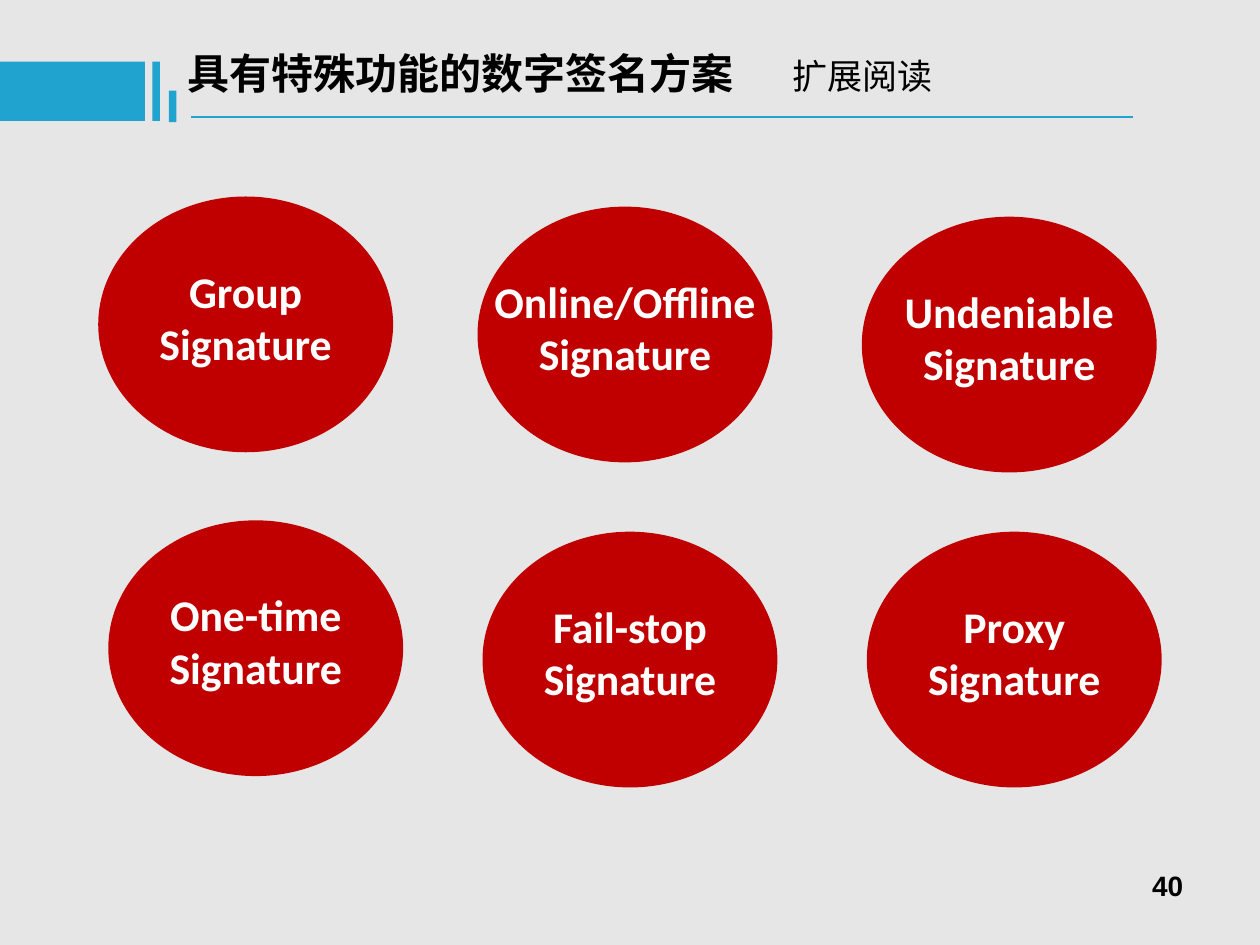
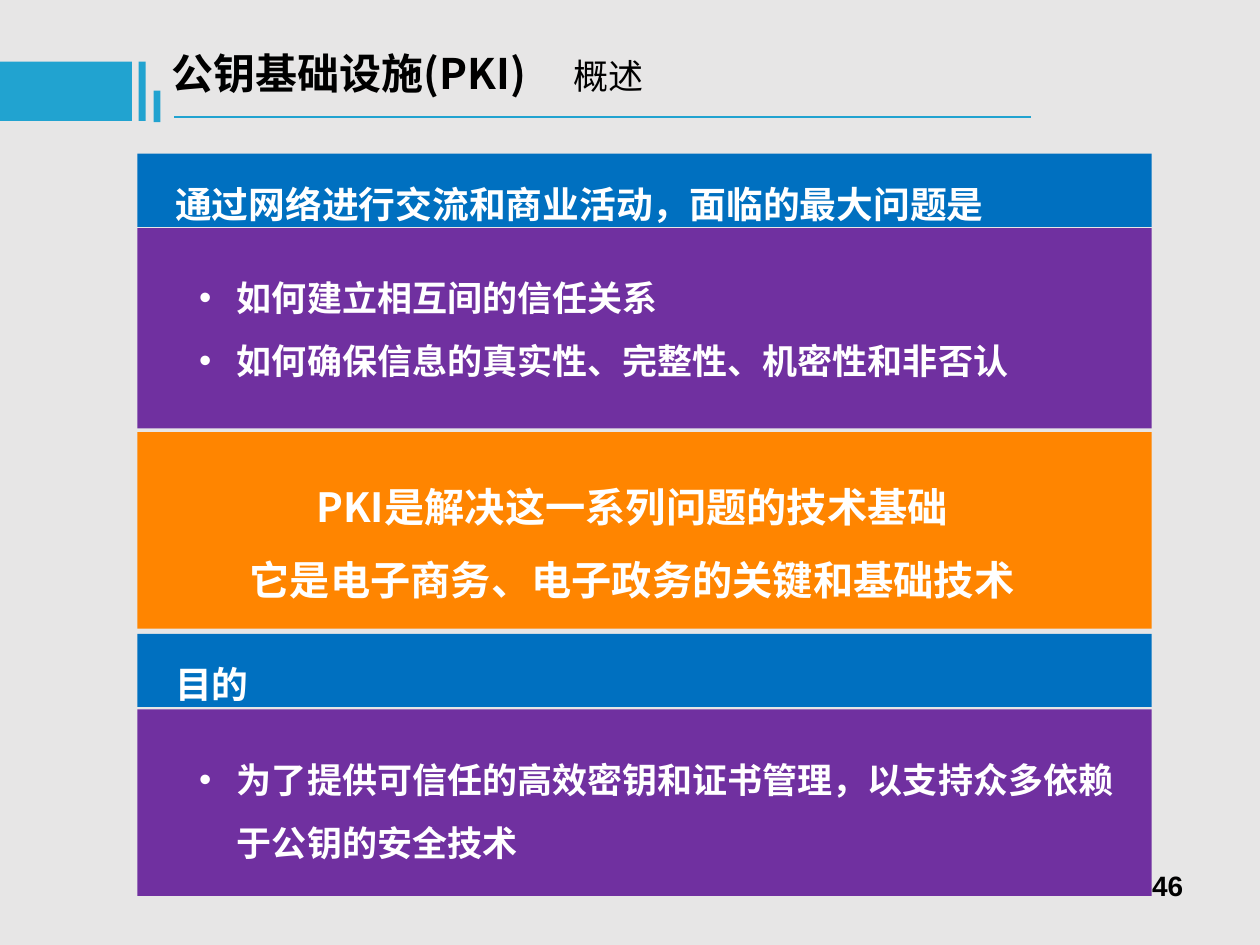
from lxml.etree import SubElement
from pptx import Presentation
from pptx.dml.color import RGBColor
from pptx.enum.shapes import MSO_CONNECTOR, MSO_SHAPE
from pptx.enum.text import MSO_ANCHOR, MSO_AUTO_SIZE, PP_ALIGN
from pptx.oxml.ns import qn
from pptx.util import Inches, Pt

GREY = RGBColor(0xE7, 0xE6, 0xE6)
SKY = RGBColor(0x21, 0xA3, 0xD0)
RED = RGBColor(0xC0, 0x00, 0x00)
BLUE = RGBColor(0x00, 0x70, 0xC0)
PURPLE = RGBColor(0x70, 0x30, 0xA0)
ORANGE = RGBColor(0xFF, 0x85, 0x00)
WHITE = RGBColor(0xFF, 0xFF, 0xFF)
BLACK = RGBColor(0x00, 0x00, 0x00)
CHINESE_FONT = "Noto Sans CJK SC"

TWO_CONTENT, TITLE_ONLY = 3, 5
OVAL_SIZE = (2.34, 2.03)
PANEL_LEFT, PANEL_WIDTH = 1.09, 8.05


def inches(*lengths):
    return [Inches(length) for length in lengths]


def style_span(span, size, color=WHITE, font=CHINESE_FONT, bold=True):
    span.font.size = Pt(size)
    span.font.bold = bold
    span.font.name = font
    span.font.color.rgb = color
    SubElement(span.font._element, qn("a:ea"), typeface=font)


def set_frame(frame, insets, anchor=MSO_ANCHOR.TOP, wrap=True):
    """Fix the frame's insets, given as left, top, right, bottom."""
    frame.auto_size = MSO_AUTO_SIZE.NONE
    frame.word_wrap = wrap
    frame.vertical_anchor = anchor
    (frame.margin_left, frame.margin_top,
     frame.margin_right, frame.margin_bottom) = inches(*insets)


def write_lines(frame, lines, size, align=PP_ALIGN.LEFT, spacing=1.0,
                bullets=False, **style):
    frame.text = "\n".join(lines)
    for para in frame.paragraphs:
        if bullets:
            add_bullet(para)
        para.alignment = align
        para.line_spacing = spacing
        para.space_before = Pt(0)
        for span in para.runs:
            style_span(span, size, **style)


def add_bullet(para):
    props = para._p.get_or_add_pPr()
    props.set("marL", str(Inches(0.3)))
    props.set("indent", str(-Inches(0.3)))
    color = SubElement(props, qn("a:buClr"))
    SubElement(color, qn("a:srgbClr"), val=str(WHITE))
    SubElement(props, qn("a:buFont"), typeface="Arial")
    SubElement(props, qn("a:buChar"), char="•")


def add_filled(page, kind, box, color):
    shape = page.shapes.add_shape(kind, *inches(*box))
    shape.shadow.inherit = False
    shape.fill.solid()
    shape.fill.fore_color.rgb = color
    shape.line.fill.background()
    return shape


def add_title_band(page, title, subtitle, subtitle_at, scale=1.0):
    """Place title, bars and rule; scale stretches the band sideways."""
    heading = page.shapes.title
    heading.left, heading.top, heading.width, heading.height = inches(
        1.39 * scale, 0.33, 8.33 * scale, 0.5)
    set_frame(heading.text_frame, (0.1, 0.05, 0.1, 0.05))
    para = heading.text_frame.paragraphs[0]
    tabs = SubElement(para._p.get_or_add_pPr(), qn("a:tabLst"))
    SubElement(tabs, qn("a:tab"), pos=str(Inches(subtitle_at)), algn="l")
    para.alignment = PP_ALIGN.LEFT
    for text, size, bold in ((title + "\t", 24, True), (subtitle, 20, False)):
        span = para.add_run()
        span.text = text
        style_span(span, size, BLACK, bold=bold)

    for left, top, width, height in ((0, 0.49, 1.15, 0.47),
                                     (1.21, 0.49, 0.06, 0.47),
                                     (1.34, 0.72, 0.06, 0.25)):
        add_filled(page, MSO_SHAPE.RECTANGLE,
                   (left * scale, top, width * scale, height), SKY)
    rule = page.shapes.add_connector(
        MSO_CONNECTOR.STRAIGHT, *inches(1.52 * scale, 0.93, 8.99 * scale, 0.93))
    rule.line.color.rgb = SKY
    rule.line.width = Pt(1.5)
    SubElement(rule._element.spPr, qn("a:effectLst"))


def add_page_number(page, number):
    box = page.shapes.add_textbox(*inches(7.17, 6.83, 2.33, 0.52))
    set_frame(box.text_frame, (0.11, 0.06, 0.11, 0.06))
    write_lines(box.text_frame, [str(number)], 16, PP_ALIGN.RIGHT,
                color=BLACK, font="Arial")


def add_signature_oval(page, left, top, kind):
    oval = add_filled(page, MSO_SHAPE.OVAL, (left, top, *OVAL_SIZE), RED)
    set_frame(oval.text_frame, (0.1, 0.05, 0.1, 0.17), MSO_ANCHOR.MIDDLE,
              wrap=False)
    write_lines(oval.text_frame, [kind, "Signature"], 25, PP_ALIGN.CENTER,
                font="Calibri")


def add_heading_panel(page, top, text):
    panel = add_filled(page, MSO_SHAPE.RECTANGLE,
                       (PANEL_LEFT, top, PANEL_WIDTH, 0.58), BLUE)
    set_frame(panel.text_frame, (0.3, 0.05, 0.18, 0))
    write_lines(panel.text_frame, [text], 21, spacing=1.5)


def fill_list_panel(panel, top, height, items):
    panel.left, panel.top, panel.width, panel.height = inches(
        PANEL_LEFT, top, PANEL_WIDTH, height)
    panel.fill.solid()
    panel.fill.fore_color.rgb = PURPLE
    set_frame(panel.text_frame, (0.49, 0.22, 0.25, 0.05))
    write_lines(panel.text_frame, items, 20, spacing=1.5, bullets=True)


def add_statement_panel(page, top, height, lines):
    panel = add_filled(page, MSO_SHAPE.RECTANGLE,
                       (PANEL_LEFT, top, PANEL_WIDTH, height), ORANGE)
    set_frame(panel.text_frame, (0.49, 0.21, 0.68, 0.05))
    write_lines(panel.text_frame, lines, 23, PP_ALIGN.CENTER, spacing=1.5)


def build_signature_slide(deck):
    page = deck.slides.add_slide(deck.slide_layouts[TITLE_ONLY])
    add_title_band(page, "具有特殊功能的数字签名方案", "扩展阅读", 4.8)
    for left, top, kind in ((0.78, 1.56, "Group"),
                            (3.79, 1.64, "Online/Offline"),
                            (6.84, 1.72, "Undeniable"),
                            (0.86, 4.13, "One-time"),
                            (3.83, 4.22, "Fail-stop"),
                            (6.88, 4.22, "Proxy")):
        add_signature_oval(page, left, top, kind)
    add_page_number(page, 40)


def build_pki_slide(deck):
    page = deck.slides.add_slide(deck.slide_layouts[TWO_CONTENT])
    add_title_band(page, "公钥基础设施(PKI)", "概述", 3.19, scale=0.91)
    problems, purpose = page.placeholders[1], page.placeholders[2]
    add_heading_panel(page, 1.22, "通过网络进行交流和商业活动，面临的最大问题是")
    fill_list_panel(problems, 1.81, 1.59, [
        "如何建立相互间的信任关系",
        "如何确保信息的真实性、完整性、机密性和非否认"])
    add_statement_panel(page, 3.43, 1.56, [
        "PKI是解决这一系列问题的技术基础",
        "它是电子商务、电子政务的关键和基础技术"])
    add_heading_panel(page, 5.03, "目的")
    fill_list_panel(purpose, 5.63, 1.48, [
        "为了提供可信任的高效密钥和证书管理，以支持众多依赖于公钥的安全技术"])
    add_page_number(page, 46)


def main():
    deck = Presentation()
    deck.slide_width, deck.slide_height = inches(10, 7.5)
    backdrop = deck.slide_master.background.fill
    backdrop.solid()
    backdrop.fore_color.rgb = GREY
    build_signature_slide(deck)
    build_pki_slide(deck)
    deck.save("out.pptx")


if __name__ == "__main__":
    main()
